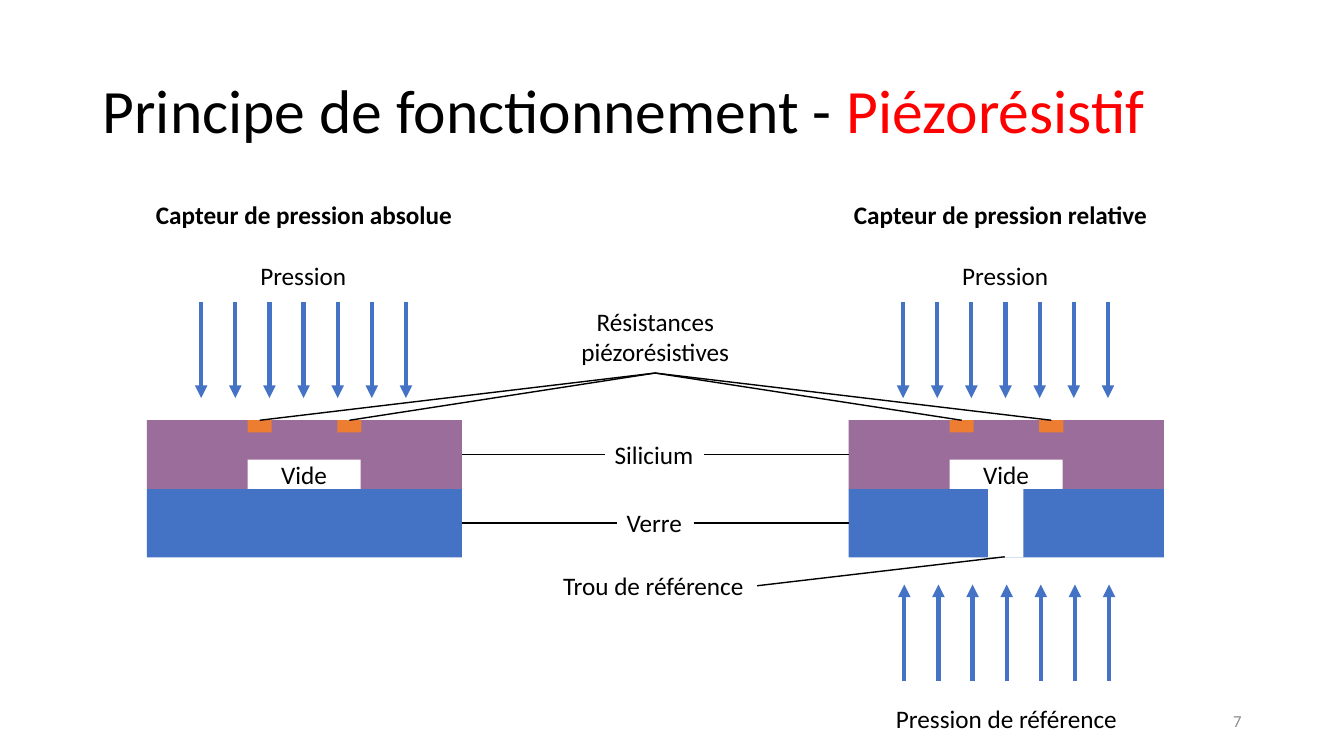
from lxml.etree import SubElement
from pptx import Presentation
from pptx.dml.color import RGBColor
from pptx.enum.shapes import MSO_CONNECTOR, MSO_SHAPE
from pptx.enum.text import MSO_ANCHOR, MSO_AUTO_SIZE, PP_ALIGN
from pptx.oxml.ns import qn
from pptx.util import Cm, Pt

BLACK, WHITE, RED, GREY = "000000", "FFFFFF", "FF0000", "8C8C8C"
GLASS, SILICON, RESISTOR = "4472C4", "9B6D9A", "ED7D31"

presentation = Presentation()
presentation.slide_width = Cm(33.87)
presentation.slide_height = Cm(19.05)
slide = presentation.slides.add_slide(presentation.slide_layouts[6])
color = RGBColor.from_string


def add_text(text, left, top, width, height, size=18, align=PP_ALIGN.LEFT,
             bold=None, ink=BLACK, fill=None, label=True):
    """Label, or a rectangle when a fill is given."""
    box = (Cm(left), Cm(top), Cm(width), Cm(height))
    if fill:
        shape = slide.shapes.add_shape(MSO_SHAPE.RECTANGLE, *box)
        shape.shadow.inherit = False
        shape.fill.solid()
        shape.fill.fore_color.rgb = color(fill)
        shape.line.fill.background()
    else:
        shape = slide.shapes.add_textbox(*box)
    frame = shape.text_frame
    frame.word_wrap = not label
    if label:
        frame.auto_size = MSO_AUTO_SIZE.SHAPE_TO_FIT_TEXT
    else:
        frame.vertical_anchor = MSO_ANCHOR.MIDDLE
    if text:
        frame.text = text
    for paragraph in frame.paragraphs:
        paragraph.alignment = align
        for run in paragraph.runs:
            run.font.name = "Calibri"
            run.font.size = Pt(size)
            run.font.bold = bold
            run.font.color.rgb = color(ink)
    return shape


def add_line(x1, y1, x2, y2, arrow=False):
    line = slide.shapes.add_connector(
        MSO_CONNECTOR.STRAIGHT, Cm(x1), Cm(y1), Cm(x2), Cm(y2))
    line.line.color.rgb = color(GLASS if arrow else BLACK)
    line.line.width = Pt(3 if arrow else 1)
    if arrow:
        SubElement(line.line._get_or_add_ln(), qn("a:tailEnd"), type="triangle")
    SubElement(line._element.spPr, qn("a:effectLst"))


# Title
title = add_text("Principe de fonctionnement - ", 2.34, 1.02, 29.21, 3.68,
                 size=44, label=False)
title_paragraph = title.text_frame.paragraphs[0]
title_paragraph.line_spacing = 0.9
highlight = title_paragraph.add_run()
highlight.text = "Piézorésistif"
highlight.font.name = "Calibri"
highlight.font.size = Pt(44)
highlight.font.color.rgb = color(RED)

# Both sensors: glass, silicon, cavity, resistors and pressure arrows
absolute_left, relative_left, sensor_width = 3.7, 21.39, 7.94
silicon_top, glass_top, layer_height = 10.59, 12.32, 1.73
resistor_offsets, resistor_width = (2.54, 4.8), 0.61
arrow_count, arrow_gap = 7, 0.86

for left in (absolute_left, relative_left):
    for text, dx, top, width, height, fill in (
        ("", 0, glass_top, sensor_width, layer_height, GLASS),
        ("", 0, silicon_top, sensor_width, layer_height, SILICON),
        ("Vide", 2.54, 11.58, 2.85, 0.74, WHITE),
        *(("", dx, silicon_top, resistor_width, 0.31, RESISTOR)
          for dx in resistor_offsets),
    ):
        add_text(text, left + dx, top, width, height, fill=fill,
                 align=PP_ALIGN.CENTER, label=False)
    for i in range(arrow_count):
        x = left + 1.37 + i * arrow_gap
        add_line(x, 7.62, x, 10.03, arrow=True)
    add_text("Pression", left + 2.61, 6.43, 2.69, 1.03)

# Reference pressure and hole of the relative sensor
for i in range(arrow_count):
    x = relative_left + 1.4 + i * arrow_gap
    add_line(x, 17.15, x, 14.73, arrow=True)
add_text("", 24.9, glass_top, 0.89, layer_height, fill=WHITE, label=False)

# Labels
add_text("Pression de référence", 22.33, 17.6, 6.15, 1.03)
add_text("Capteur de pression absolue", 3.68, 4.9, 8.03, 1.03, bold=True)
add_text("Capteur de pression relative", 21.27, 4.9, 7.95, 1.03, bold=True)
add_text("Silicium", 15.24, 10.95, 2.51, 1.03)
add_text("Verre", 15.54, 12.65, 1.93, 1.03)
add_text("Résistances\npiézorésistives", 14.38, 7.59, 4.27, 1.8,
         align=PP_ALIGN.CENTER)
add_text("Trou de référence", 13.94, 14.25, 5.13, 1.03)

# Leader lines
for left in (absolute_left, relative_left):
    for dx in resistor_offsets:
        add_line(16.51, 9.4, left + dx + resistor_width / 2, silicon_top)
for y, label_left, label_right in ((11.46, 15.24, 17.75), (13.18, 15.54, 17.48)):
    add_line(label_right, y, relative_left, y)
    add_line(label_left, y, absolute_left + sensor_width, y)
add_line(19.08, 14.76, 25.32, 14.03)

# Slide number
add_text("7", 23.92, 17.66, 7.62, 1.01, size=12, align=PP_ALIGN.RIGHT,
         ink=GREY, label=False)

presentation.save("out.pptx")
